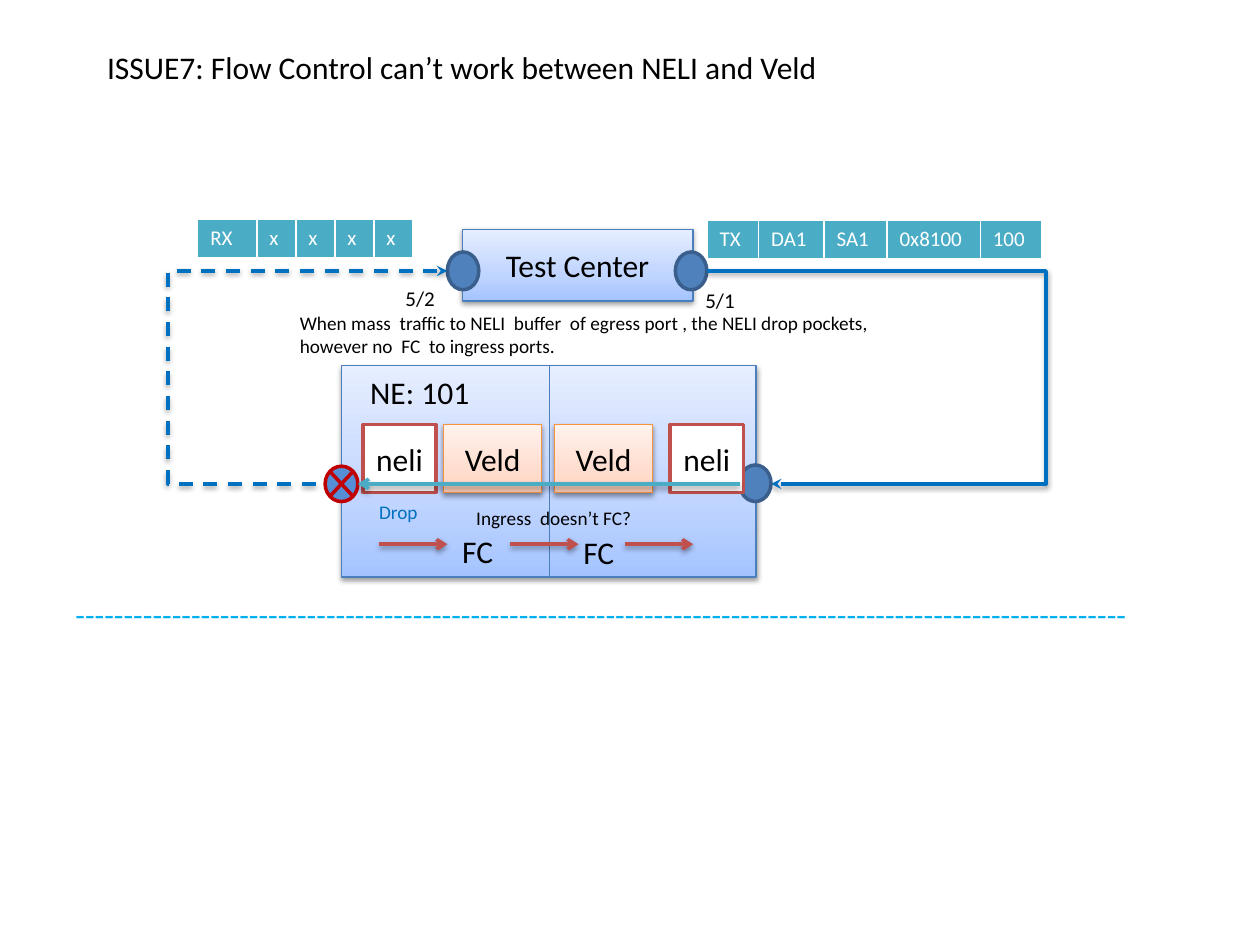
"""Builds the slide on flow control between two chips of a network element."""
from copy import deepcopy

from lxml import etree
from pptx import Presentation
from pptx.dml.color import RGBColor
from pptx.enum.dml import MSO_LINE
from pptx.enum.shapes import MSO_CONNECTOR, MSO_SHAPE
from pptx.enum.text import MSO_ANCHOR, PP_ALIGN
from pptx.oxml.ns import qn
from pptx.util import Pt

RECT, OVAL = MSO_SHAPE.RECTANGLE, MSO_SHAPE.OVAL
JUNCTION = MSO_SHAPE.FLOWCHART_SUMMING_JUNCTION
STRAIGHT, ELBOW = MSO_CONNECTOR.STRAIGHT, MSO_CONNECTOR.ELBOW
DASH = MSO_LINE.DASH
TOP, MIDDLE = MSO_ANCHOR.TOP, MSO_ANCHOR.MIDDLE
LEFT, CENTER = PP_ALIGN.LEFT, PP_ALIGN.CENTER

BLACK = RGBColor(0x00, 0x00, 0x00)
WHITE = RGBColor(0xFF, 0xFF, 0xFF)
TEAL = RGBColor(0x4B, 0xAC, 0xC6)
BLUE = RGBColor(0x00, 0x70, 0xC0)
SKY = RGBColor(0x00, 0xB0, 0xF0)
RED = RGBColor(0xC0, 0x50, 0x4D)
DARK_RED = RGBColor(0xC0, 0x00, 0x00)
PORT_FILL = RGBColor(0x4F, 0x81, 0xBD)
PORT_EDGE = RGBColor(0x3A, 0x5F, 0x8C)
DROP_FILL = RGBColor(0x55, 0x8E, 0xD5)
BOX_EDGE = RGBColor(0x4B, 0x7E, 0xBC)
CHIP_EDGE = RGBColor(0xF6, 0x92, 0x40)
BLUE_FADE = [RGBColor(0xA4, 0xC4, 0xFF), RGBColor(0xBF, 0xD4, 0xFF), RGBColor(0xE6, 0xEE, 0xFF)]
ORANGE_FADE = [RGBColor(0xFF, 0xD2, 0xBD), RGBColor(0xFF, 0xDE, 0xD0), RGBColor(0xFF, 0xF2, 0xED)]
FADE_POSITIONS = [0, 0.35, 1]

FONT = "Calibri"
TITLE = "ISSUE7: Flow Control can’t work between NELI and Veld"
TITLE_BOX = (54, 23.8, 635.8, 29)
CHIP_TOP, CHIP_HEIGHT = 242.6, 38.9
PORT_TOP, UPPER_Y, LOWER_Y, FC_Y = 144, 154.8, 276.5, 311

STYLES = {
    "box": (RECT, BLUE_FADE, BOX_EDGE, 0.75),
    "veld": (RECT, ORANGE_FADE, CHIP_EDGE, 0.75),
    "neli": (RECT, WHITE, RED, 2),
    "port": (OVAL, PORT_FILL, PORT_EDGE, 2),
    "drop": (JUNCTION, DROP_FILL, DARK_RED, 2),
}
SHAPES = [
    ("box", (195.1, 208.8, 236.9, 121), ""),
    ("port", (422.6, 265.7, 18, 20.9), ""),
    ("box", (264.2, 131, 131.8, 41), "Test Center"),
    ("port", (385.9, PORT_TOP, 18, 21.6), ""),
    ("port", (255.6, PORT_TOP, 18, 21.6), ""),
]
CHIPS = [
    ("veld", 253.4, 56.2, "Veld"),
    ("neli", 207.4, 41.8, "neli"),
    ("veld", 316.8, 56.2, "Veld"),
    ("neli", 383, 41.8, "neli"),
]
DROP_PORT = ("drop", (185.8, 266.4, 18.7, 20.2), "")
DIVIDER = ((313.9, 208.8), (313.9, 329.8))
LOOPS = [
    ((403.9, UPPER_Y), (440.6, LOWER_Y), 528100, {"tail": "stealth"}),
    ((255.6, UPPER_Y), (185.8, LOWER_Y), 228700, {"head": "stealth", "dash": DASH}),
]
FC_ARROWS, FC_LENGTH = [216.7, 291.6, 357.1], 39
RETURN_LINE = ((422.6, LOWER_Y), (204.5, LOWER_Y))
LABELS = [
    ((396, 160.6, 31.7, 21.6), ["5/1"], 12, BLACK, False),
    ((224.6, 159.8, 31.7, 21.6), ["5/2"], 12, BLACK, False),
    ((204.5, 209.5, 72, 29), ["NE: 101"], 18, BLACK, False),
    ((164.2, 174.2, 344.2, 33.8),
     ["When mass  traffic to NELI  buffer  of egress port , the NELI drop pockets,",
      "however no  FC  to ingress ports."], 11, BLACK, False),
    ((36, 336.2, 617.8, 29), ["-" * 109], 18, SKY, True),
    ((257, 300.2, 32.4, 29), ["FC"], 18, BLACK, False),
    ((326.2, 301, 32.4, 29), ["FC"], 18, BLACK, False),
    ((209.5, 282.2, 42.5, 20.9), ["Drop"], 11, BLUE, True),
    ((265, 285.8, 131, 20.9), ["Ingress  doesn’t FC?"], 11, BLACK, True),
]
FRAMES = [
    ((404, 126), [29.5, 37.4, 36, 53.3, 35.3], ["TX", "DA1", "SA1", "0x8100", "100"]),
    ((113, 125.3), [33.8, 22.3, 22.3, 22.3, 22.3], ["RX", "x", "x", "x", "x"]),
]
FRAME_HEIGHT = 21.6


def points(values):
    return [Pt(value) for value in values]


def assign(target, **values):
    for name, value in values.items():
        setattr(target, name, value)


def write(frame, lines, size, color, align=LEFT, anchor=TOP, wrap=True):
    assign(frame, word_wrap=wrap, vertical_anchor=anchor)
    for index, line in enumerate(lines):
        para = frame.add_paragraph() if index else frame.paragraphs[0]
        para.alignment = align
        span = para.add_run()
        span.text = line
        assign(span.font, name=FONT, size=Pt(size), bold=False)
        span.font.color.rgb = color


def add_shadow(effects):
    shadow = etree.SubElement(effects, qn("a:outerShdw"), blurRad=str(Pt(3.1)),
                              dist=str(Pt(1.6)), dir="5400000", rotWithShape="0")
    color = etree.SubElement(shadow, qn("a:srgbClr"), val="000000")
    etree.SubElement(color, qn("a:alpha"), val="38000")


def fade(fill, colors):
    fill.gradient()
    fill.gradient_angle = 90
    stops = fill.gradient_stops
    stop_list = next(fill_stop for fill_stop in [stops])
    return stop_list, colors


def paint(shape, fill):
    if not isinstance(fill, list):
        shape.fill.solid()
        shape.fill.fore_color.rgb = fill
        return
    shape.fill.gradient()
    shape.fill.gradient_angle = 90
    stop_list = shape.element.spPr.find(".//" + qn("a:gsLst"))
    stop_list.append(deepcopy(stop_list[-1]))
    for stop, color, position in zip(shape.fill.gradient_stops, fill, FADE_POSITIONS):
        stop.color.rgb = color
        stop.position = position
    add_shadow(shape.element.spPr.find(qn("a:effectLst")))


def add_block(page, style, place, text):
    kind, fill, edge, width = STYLES[style]
    shape = page.shapes.add_shape(kind, *points(place))
    shape.line.color.rgb = edge
    shape.line.width = Pt(width)
    shape.shadow.inherit = False
    paint(shape, fill)
    if text:
        write(shape.text_frame, [text], 18, BLACK, CENTER, MIDDLE)


def add_line(page, start, end, color, width=2, kind=STRAIGHT, bend=None,
             head=None, tail=None, dash=None, shadow=True):
    line = page.shapes.add_connector(kind, *points(start + end))
    line.line.color.rgb = color
    assign(line.line, width=Pt(width), dash_style=dash)
    properties = line.element.spPr
    for tag, arrow in (("a:headEnd", head), ("a:tailEnd", tail)):
        if arrow:
            etree.SubElement(properties.find(qn("a:ln")), qn(tag), type=arrow)
    if bend:
        guides = properties.find(".//" + qn("a:avLst"))
        etree.SubElement(guides, qn("a:gd"), name="adj1", fmla=f"val {bend}")
    effects = etree.SubElement(properties, qn("a:effectLst"))
    if shadow:
        add_shadow(effects)


def add_frame(page, corner, widths, texts):
    place = points(corner + (sum(widths), FRAME_HEIGHT))
    table = page.shapes.add_table(1, len(texts), *place).table
    for column, cell, width, text in zip(table.columns, table.rows[0].cells, widths, texts):
        column.width = Pt(width)
        cell.fill.solid()
        cell.fill.fore_color.rgb = TEAL
        write(cell.text_frame, [text], 12, WHITE)


def main():
    deck = Presentation()
    assign(deck, slide_width=Pt(720), slide_height=Pt(540))
    page = deck.slides.add_slide(deck.slide_layouts[5])
    title = page.shapes.title
    assign(title, **dict(zip(("left", "top", "width", "height"), points(TITLE_BOX))))
    write(title.text_frame, [TITLE], 18, BLACK)
    for style, place, text in SHAPES:
        add_block(page, style, place, text)
    for start, end, bend, ends in LOOPS:
        add_line(page, start, end, BLUE, kind=ELBOW, bend=bend, **ends)
    add_line(page, *DIVIDER, BOX_EDGE, width=0.75, shadow=False)
    for style, left, width, text in CHIPS:
        add_block(page, style, (left, CHIP_TOP, width, CHIP_HEIGHT), text)
    add_block(page, *DROP_PORT)
    for left in FC_ARROWS:
        add_line(page, (left, FC_Y), (left + FC_LENGTH, FC_Y), RED, tail="arrow")
    for frame in FRAMES:
        add_frame(page, *frame)
    add_line(page, *RETURN_LINE, TEAL, tail="arrow")
    for place, lines, size, color, wrap in LABELS:
        box = page.shapes.add_textbox(*points(place))
        write(box.text_frame, lines, size, color, wrap=wrap)
    deck.save("out.pptx")


if __name__ == "__main__":
    main()
